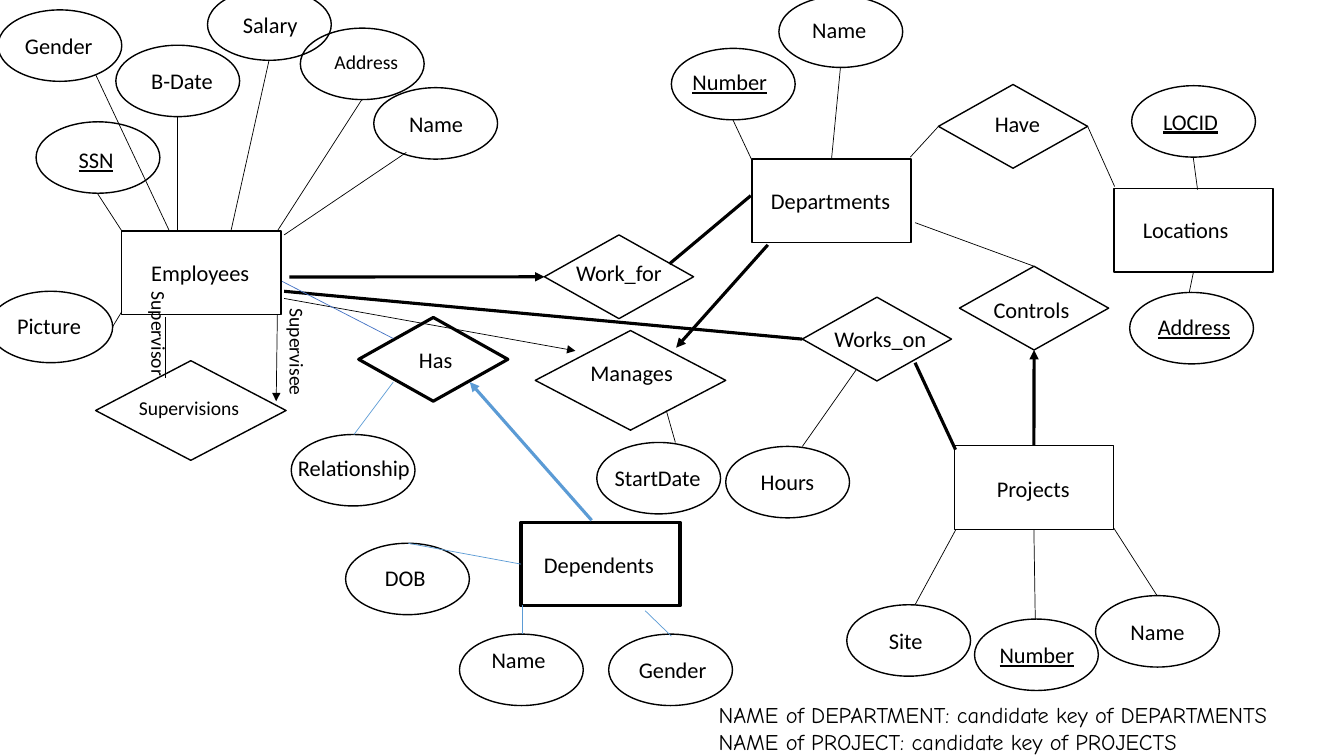
from dataclasses import dataclass
from math import hypot

from lxml.etree import SubElement
from pptx import Presentation
from pptx.dml.color import RGBColor
from pptx.enum.shapes import MSO_CONNECTOR as Link
from pptx.enum.shapes import MSO_SHAPE as Kind
from pptx.enum.text import MSO_AUTO_SIZE as Fit
from pptx.oxml.ns import qn
from pptx.shapes.autoshape import Shape
from pptx.slide import Slide
from pptx.util import Cm, Pt

BLACK = RGBColor(0x00, 0x00, 0x00)
BLUE = RGBColor(0x44, 0x72, 0xC4)
SKY = RGBColor(0x5B, 0x9B, 0xD5)
THIN, EDGE, BOLD = 0.5, 1, 2.25
SNAP = 0.08  # an end this close (cm) to a side's middle is joined


@dataclass(frozen=True)
class Form:
    kind: Kind
    wide: float
    high: float


OVAL = Form(Kind.OVAL, 3.12, 1.8)
BOX = Form(Kind.RECTANGLE, 4.01, 2.11)
GEM = Form(Kind.FLOWCHART_DECISION, 3.76, 2.11)
BIG = Form(Kind.FLOWCHART_DECISION, 4.8, 2.51)


@dataclass(frozen=True)
class Label:
    lines: tuple[str, ...]
    left: float
    top: float
    wide: float
    size: int = 16
    under: bool = False
    turn: int = 0
    font: str = "Calibri"


@dataclass(frozen=True)
class Node:
    form: Form
    left: float
    top: float
    name: str
    text: tuple[float, float, float]  # left, top, width of the label
    size: int = 16
    key: bool = False
    edge: float = EDGE

    def sides(self) -> list[tuple[float, float]]:
        """Middles of the top, left, bottom and right sides."""
        wide, high = self.form.wide, self.form.high
        return [(self.left + wide * x, self.top + high * y)
                for x, y in ((0.5, 0), (0, 0.5), (0.5, 1), (1, 0.5))]


@dataclass(frozen=True)
class Line:
    start: tuple[float, float]
    end: tuple[float, float]
    width: float = THIN
    arrow: bool = False
    color: RGBColor = BLACK


NODES = [
    # Employees and their attributes
    Node(BOX, 3.07, 5.82, "Employees", (3.56, 6.4, 3.12)),
    Node(OVAL, 0.91, 3.07, "SSN", (1.73, 3.56, 1.45), key=True),
    Node(OVAL, 2.92, 1.14, "B-Date", (3.56, 1.57, 2.11)),
    Node(OVAL, -0.05, 0.25, "Gender", (0.38, 0.69, 2.46)),
    Node(OVAL, 9.42, 2.21, "Name", (10.06, 2.64, 2.11)),
    Node(OVAL, 7.57, 0.71, "Address", (8.18, 1.14, 2.16), size=14),
    Node(OVAL, 5.23, -0.28, "Salary", (5.87, 0.15, 2.11)),
    Node(OVAL, -0.28, 7.34, "Picture", (0.18, 7.75, 2.24)),
    # Departments and locations
    Node(BOX, 18.95, 4.01, "Departments", (19.18, 4.6, 3.56)),
    Node(OVAL, 16.92, 1.22, "Number", (17.2, 1.6, 3.3), key=True),
    Node(OVAL, 19.63, -0.1, "Name", (20.22, 0.28, 2.24)),
    Node(BOX, 28.07, 4.75, "Locations", (28.55, 5.33, 3.12)),
    Node(OVAL, 28.52, 2.16, "LOCID", (29.06, 2.59, 2.11), key=True),
    Node(OVAL, 28.47, 7.37, "Address", (28.93, 7.77, 2.46), key=True),
    # Dependents
    Node(BOX, 13.13, 13.16, "Dependents", (13.46, 13.77, 3.33), edge=BOLD),
    Node(OVAL, 8.71, 13.69, "DOB", (9.45, 14.1, 1.75)),
    Node(OVAL, 11.58, 15.98, "Name", (12.14, 16.15, 2.03)),
    Node(OVAL, 15.34, 15.98, "Gender", (15.85, 16.41, 2.57)),
    # Projects
    Node(BOX, 24.05, 11.23, "Projects", (24.87, 11.84, 2.4)),
    Node(OVAL, 21.34, 15.24, "Site", (22.15, 15.67, 1.45)),
    Node(OVAL, 24.56, 15.6, "Number", (24.94, 16.03, 2.57), key=True),
    Node(OVAL, 27.61, 15.01, "Name", (28.24, 15.44, 2.13)),
    # Relationships and their attributes
    Node(BIG, 2.41, 9.09, "Supervisions", (3.25, 9.86, 3.25), size=14),
    Node(GEM, 13.72, 5.92, "Work_for", (14.27, 6.4, 3.25)),
    Node(BIG, 13.49, 8.33, "Manages", (14.63, 8.92, 3.12)),
    Node(OVAL, 15.04, 11.15, "StartDate", (15.24, 11.58, 2.74)),
    Node(GEM, 20.22, 7.49, "Works_on", (20.78, 8.08, 2.88)),
    Node(OVAL, 18.29, 11.25, "Hours", (18.92, 11.68, 2.11)),
    Node(GEM, 24.18, 6.71, "Controls", (24.79, 7.34, 2.51)),
    Node(GEM, 23.65, 2.13, "Have", (24.82, 2.64, 1.8)),
    Node(GEM, 9.04, 8, "Has", (10.31, 8.59, 1.42), edge=BOLD),
    Node(OVAL, 7.34, 10.95, "Relationship", (7.26, 11.33, 3.76)),
]

LINES = [
    # Employees
    Line((3.07, 5.82), (2.46, 4.88)),
    Line((4.47, 5.82), (4.47, 2.95)),
    Line((4.27, 5.82), (2.41, 1.88)),
    Line((7.16, 5.92), (10.24, 3.84)),
    Line((6.99, 5.82), (9.12, 2.51)),
    Line((5.82, 5.82), (6.78, 1.52)),
    Line((2.84, 8.23), (3.07, 7.85)),
    Line((4.17, 9.53), (4.17, 7.98)),
    Line((6.99, 7.92), (6.96, 10.11), arrow=True),
    Line((7.29, 6.98), (13.72, 6.98), BOLD, True),
    Line((7.16, 7.52), (14.5, 8.84), arrow=True),
    Line((7.16, 7.34), (20.24, 8.56), BOLD),
    # Departments and locations
    Line((18.95, 4.04), (18.47, 3.02)),
    Line((20.96, 4.01), (21.18, 1.7)),
    Line((22.94, 3.96), (23.65, 3.18)),
    Line((26.04, 6.71), (23.06, 5.61)),
    Line((16.87, 6.65), (18.92, 4.93), BOLD),
    Line((19.35, 6.17), (17.04, 8.76), BOLD, True),
    Line((17.02, 11.15), (16.79, 10.34)),
    Line((28.09, 4.7), (27.41, 3.15)),
    Line((30.18, 4.78), (30.07, 3.96)),
    Line((29.97, 7.37), (30.07, 6.86)),
    # Dependents
    Line((7.11, 7.09), (9.91, 8.53), color=BLUE),
    Line((8.92, 10.95), (9.91, 9.63), color=SKY),
    Line((13.16, 15.98), (13.16, 15.24), color=SKY),
    Line((16.92, 16.03), (16.26, 15.39), color=SKY),
    Line((10.29, 13.69), (13.13, 14.22), color=SKY),
    Line((14.91, 13.11), (11.84, 9.63), BOLD, True, SKY),
    # Projects
    Line((26.06, 11.23), (26.06, 8.79), BOLD, True),
    Line((20.22, 11.25), (21.59, 9.3)),
    Line((24.08, 11.33), (23.06, 9.14), BOLD),
    Line((23.06, 15.24), (24.08, 13.36)),
    Line((26.09, 15.6), (26.09, 13.39)),
    Line((29.16, 15.01), (28.07, 13.31)),
]

NOTES = [
    Label(("Supervisee",), 5.77, 8.81, 3.43, size=14, turn=90),
    Label(("Supervisor",), 2.29, 8.38, 3.43, size=14, turn=90),
    Label(("NAME of DEPARTMENT: candidate key of DEPARTMENTS",
           "NAME of PROJECT: candidate key of PROJECTS"),
          17.86, 17.55, 17.07, font="Comic Neue"),
]


def draw_label(slide: Slide, item: Label) -> None:
    high = (0.94 if item.size == 16 else 0.86) + 0.69 * (len(item.lines) - 1)
    box = slide.shapes.add_textbox(Cm(item.left), Cm(item.top), Cm(item.wide), Cm(high))
    box.rotation = item.turn
    frame = box.text_frame
    frame.word_wrap = True
    frame.auto_size = Fit.SHAPE_TO_FIT_TEXT
    for i, words in enumerate(item.lines):
        para = frame.add_paragraph() if i else frame.paragraphs[0]
        run = para.add_run()
        run.text = words
        font = run.font
        font.name, font.size = item.font, Pt(item.size)
        font.color.rgb = BLACK
        if item.under:
            font.underline = True


def draw_node(slide: Slide, node: Node) -> Shape:
    form = node.form
    shape = slide.shapes.add_shape(form.kind, Cm(node.left), Cm(node.top),
                                   Cm(form.wide), Cm(form.high))
    shape.shadow.inherit = False
    shape.fill.background()
    shape.line.color.rgb = BLACK
    shape.line.width = Pt(node.edge)
    draw_label(slide, Label((node.name,), *node.text, node.size, node.key))
    return shape


def draw_line(slide: Slide, line: Line, drawn: list[tuple[Node, Shape]]) -> None:
    link = slide.shapes.add_connector(Link.STRAIGHT, *map(Cm, line.start + line.end))
    link.line.color.rgb = line.color
    link.line.width = Pt(line.width)
    if line.arrow:
        SubElement(link.line._get_or_add_ln(), qn("a:tailEnd"), type="triangle")
    SubElement(link._element.spPr, qn("a:effectLst"))
    # Join the ends that meet the middle of a side
    for point, join in ((line.start, link.begin_connect), (line.end, link.end_connect)):
        for node, shape in drawn:
            for site, (x, y) in enumerate(node.sides()):
                if node.form is not OVAL and hypot(x - point[0], y - point[1]) < SNAP:
                    join(shape, site)


def main() -> None:
    deck = Presentation()
    deck.slide_width, deck.slide_height = Cm(33.87), Cm(19.05)
    slide = deck.slides.add_slide(deck.slide_layouts[6])
    drawn = [(node, draw_node(slide, node)) for node in NODES]
    for line in LINES:
        draw_line(slide, line, drawn)
    for note in NOTES:
        draw_label(slide, note)
    deck.save("out.pptx")


if __name__ == "__main__":
    main()
